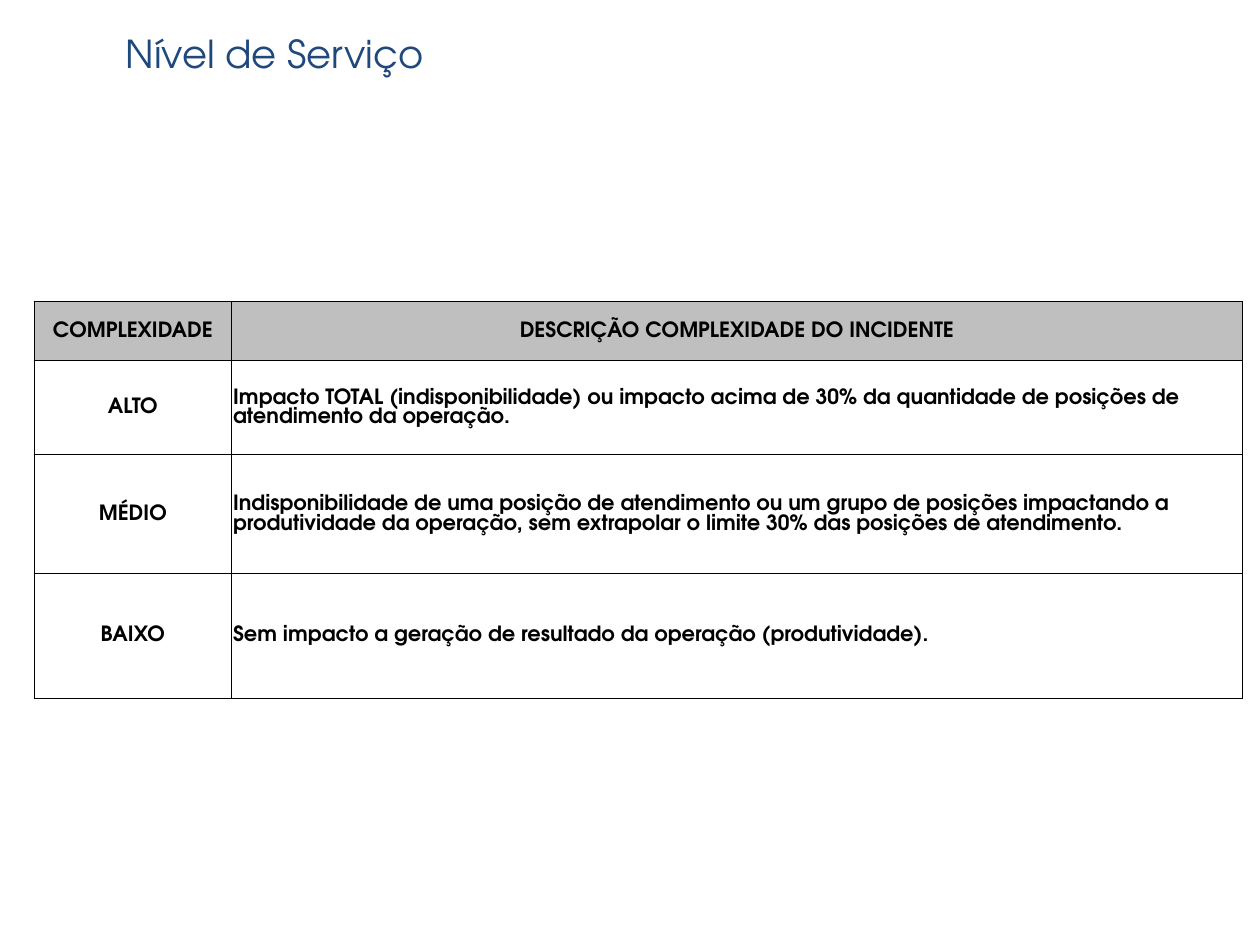
from lxml.etree import SubElement
from pptx import Presentation
from pptx.dml.color import RGBColor
from pptx.enum.text import MSO_ANCHOR, PP_ALIGN
from pptx.oxml.ns import qn
from pptx.util import Inches, Pt


def color(value):
    return RGBColor.from_string(value)


def write(paragraph, text, size, hex_color, bold):
    run = paragraph.add_run()
    run.text = text
    font_format = {"name": "TeX Gyre Adventor", "size": Pt(size), "bold": bold}
    for name, value in font_format.items():
        setattr(run.font, name, value)
    run.font.color.rgb = color(hex_color)


presentation = Presentation()
presentation.slide_width = Inches(10)
presentation.slide_height = Inches(7.5)
slide = presentation.slides.add_slide(presentation.slide_layouts[6])

title = slide.shapes.add_textbox(Inches(0.9), Inches(0.19), Inches(6.36), Inches(0.56))
title.text_frame.word_wrap = True
write(title.text_frame.paragraphs[0], "Nível de Serviço", 22, "1F497D", False)

levels = [
    ("COMPLEXIDADE", "DESCRIÇÃO COMPLEXIDADE DO INCIDENTE"),
    ("ALTO", "Impacto TOTAL (indisponibilidade) ou impacto acima de 30% da quantidade de posições de atendimento da operação."),
    ("MÉDIO", "Indisponibilidade de uma posição de atendimento ou um grupo de posições impactando a produtividade da operação, sem extrapolar o limite 30% das posições de atendimento."),
    ("BAIXO", "Sem impacto a geração de resultado da operação (produtividade)."),
]
column_widths = [1.57, 2.16, 1.43, 0.68, 1.16, 1.53, 1.06]
row_heights = [0.56, 0.47, 0.75, 0.94, 0.99]
table = slide.shapes.add_table(
    len(row_heights), len(column_widths),
    Inches(0.27), Inches(1.83), Inches(sum(column_widths)), Inches(sum(row_heights)),
).table
table.first_row = False
table.horz_banding = False
for column, width in zip(table.columns, column_widths):
    column.width = Inches(width)
for row, height in zip(table.rows, row_heights):
    row.height = Inches(height)

for row_index in range(len(row_heights)):
    for column_index in range(len(column_widths)):
        cell = table.cell(row_index, column_index)
        properties = cell._tc.get_or_add_tcPr()
        for side in ("lnB",) if row_index == 0 else ("lnL", "lnR", "lnT", "lnB"):
            line = SubElement(properties, qn(f"a:{side}"), w=str(Pt(0.5)))
            fill = SubElement(line, qn("a:solidFill"))
            SubElement(fill, qn("a:srgbClr"), val="000000")
        if row_index == 1:
            cell.fill.solid()
            cell.fill.fore_color.rgb = color("BFBFBF")
        else:
            cell.fill.background()

table.cell(0, 0).merge(table.cell(0, 1))
cell_format = {
    "vertical_anchor": MSO_ANCHOR.MIDDLE,
    "margin_left": Inches(0.01),
    "margin_right": Inches(0.01),
    "margin_top": Inches(0.01),
    "margin_bottom": Inches(0),
}
for row_index, level in enumerate(levels, start=1):
    table.cell(row_index, 1).merge(table.cell(row_index, len(column_widths) - 1))
    for column_index, text in enumerate(level):
        cell = table.cell(row_index, column_index)
        for name, value in cell_format.items():
            setattr(cell, name, value)
        paragraph = cell.text_frame.paragraphs[0]
        centered = row_index == 1 or column_index == 0
        paragraph.alignment = PP_ALIGN.CENTER if centered else PP_ALIGN.LEFT
        write(paragraph, text, 12, "000000", True)

presentation.save("out.pptx")
